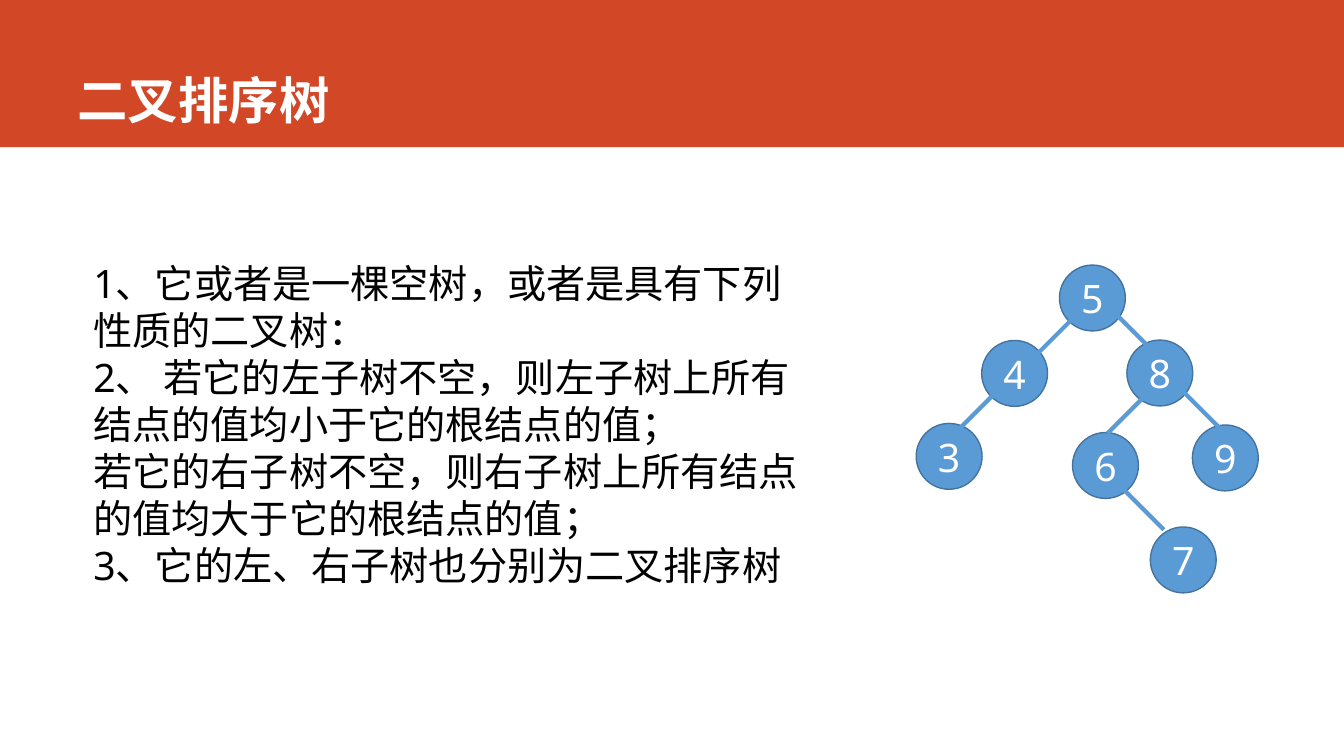
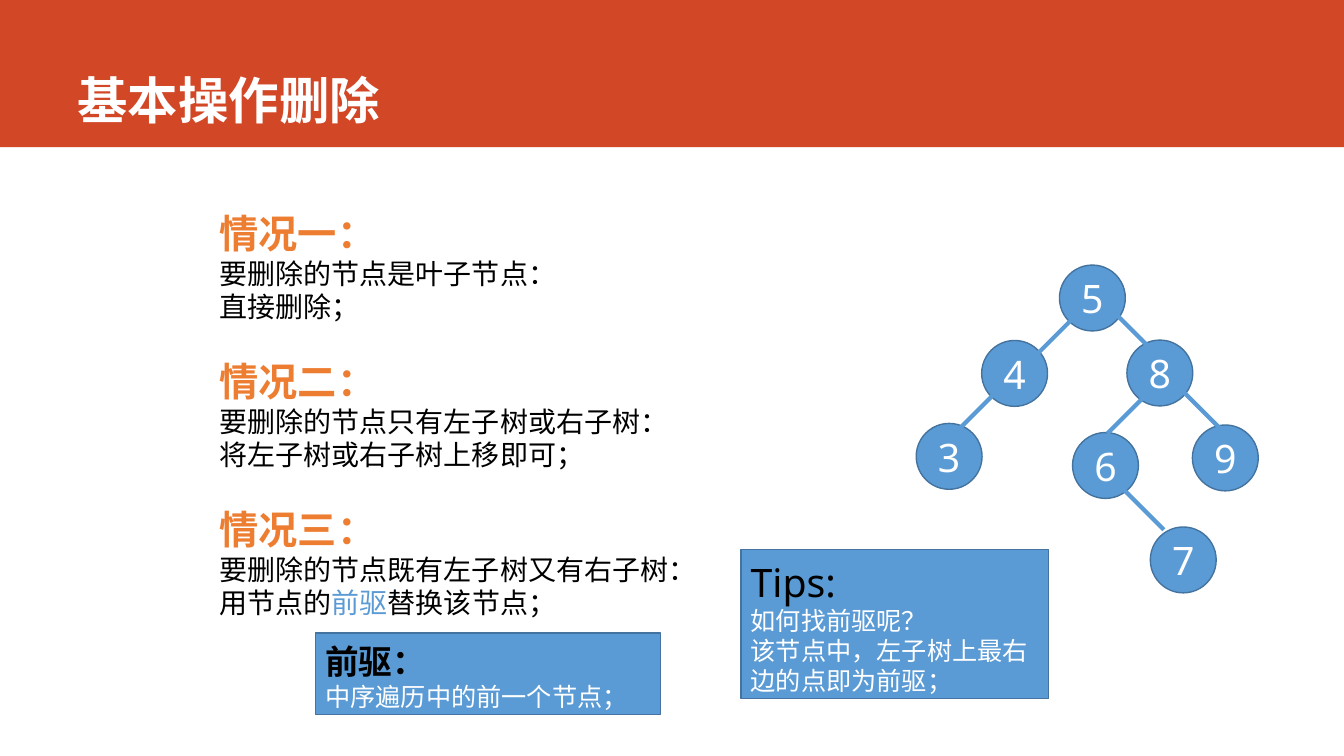
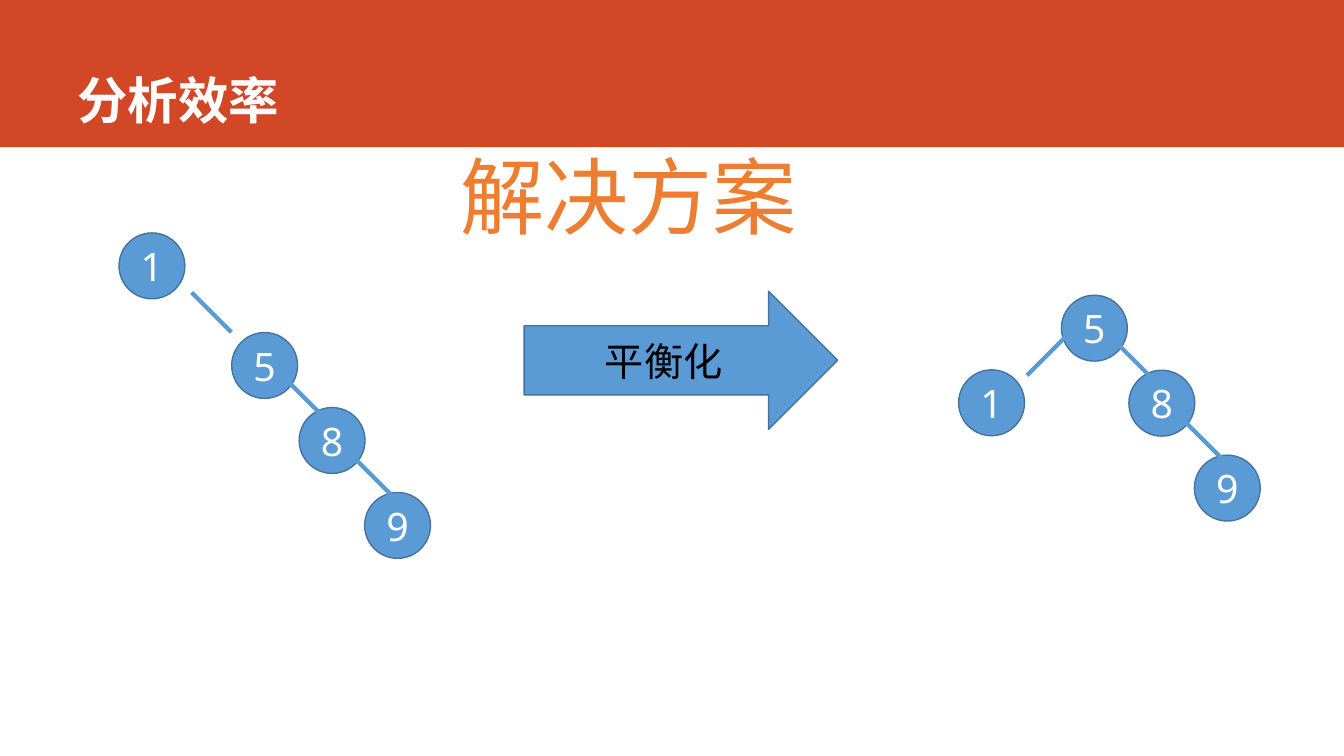
from dataclasses import dataclass

from lxml.etree import SubElement
from pptx import Presentation
from pptx.dml.color import RGBColor
from pptx.enum.shapes import MSO_CONNECTOR as Connector, MSO_SHAPE as Preset
from pptx.enum.text import MSO_ANCHOR as Anchor, MSO_AUTO_SIZE as AutoSize, PP_ALIGN as Align
from pptx.oxml.ns import qn
from pptx.util import Cm, Pt


@dataclass(frozen=True)
class Theme:
    """Colours, fonts and type sizes shared by every slide."""
    band: str = "D24726"
    white: str = "FFFFFF"
    black: str = "000000"
    blue: str = "5B9BD5"
    outline: str = "43739E"
    orange: str = "ED7D31"
    latin: str = "Noto Sans"
    cjk: str = "Noto Sans CJK SC"
    banner: int = 60
    title: int = 36
    large: int = 28
    term: int = 24
    body: int = 20
    note: int = 18
    leading: float = 1.2


THEME = Theme()

# Content. Boxes are left, top, width, height in centimetres.
SLIDE_SIZE = (33.87, 19.05)
BAND_BOX = (0, 0, 33.87, 3.71)
TITLE_BOX = (1.7, 0, 29.85, 3.4)

DEFINITION_TITLE = "二叉排序树"
DEFINITION_BOX = (2.1, 6.3, 18.42, 8.64)
DEFINITION = [
    "1、它或者是一棵空树，或者是具有下列性质的二叉树：",
    "2、 若它的左子树不空，则左子树上所有结点的值均小于它的根结点的值；",
    "若它的右子树不空，则右子树上所有结点的值均大于它的根结点的值；",
    "3、它的左、右子树也分别为二叉排序树",
]

DELETION_TITLE = "基本操作删除"
CASES_BOX = (5.28, 5.05, 14, 10.7)
CASES = [
    ("情况一：", ["要删除的节点是叶子节点：", "直接删除；"]),
    ("情况二：", ["要删除的节点只有左子树或右子树：", "将左子树或右子树上移即可；"]),
    ("情况三：", ["要删除的节点既有左子树又有右子树：",
              [("用节点的", THEME.black), ("前驱", THEME.blue), ("替换该节点；", THEME.black)]]),
]
CALLOUTS = [
    ((7.95, 15.95, 8.69, 2.06), "前驱：", THEME.term, True, ["中序遍历中的前一个节点；"]),
    ((18.67, 13.84, 7.75, 3.77), "Tips:", THEME.large, False,
     ["如何找前驱呢？", "该节点中，左子树上最右边的点即为前驱；"]),
]

EFFICIENCY_TITLE = "分析效率"
SOLUTION = "解决方案"
SOLUTION_BOX = (9.35, 3.3, 12.98, 2.82)
BALANCE = "平衡化"
BALANCE_BOX = (13.21, 7.34, 7.9, 3.48)

# Nodes: key -> offset from node 5. Edges: parent, child, start offset within parent.
NODE_SIZE = 1.66
EDGE_STEP = 1
RIGHT_NODES = {5: (0, 0), 8: (1.7, 1.89), 9: (3.35, 4.03)}
RIGHT_EDGES = [(5, 8, 1.47, 1.28), (8, 9, 1.45, 1.33)]
SEARCH_TREE = (
    (26.7, 6.68),
    RIGHT_NODES | {4: (-1.96, 1.9), 6: (0.33, 4.22), 7: (2.29, 6.6), 3: (-3.61, 3.99)},
    RIGHT_EDGES + [(5, 4, 0.36, 1.32), (4, 3, 0.36, 1.3),
                   (8, 6, 0.51, 1.35), (6, 7, 1.3, 1.45)],
)
SKEWED_TREE = ((5.84, 8.38), RIGHT_NODES | {1: (-2.84, -2.51)},
               RIGHT_EDGES + [(1, 5, 1.83, 1.5)])
BALANCED_TREE = ((26.75, 7.44), RIGHT_NODES | {1: (-2.59, 1.88)},
                 RIGHT_EDGES + [(5, 1, 0.13, 1.02)])


def lengths(box):
    """Turn centimetre numbers into slide lengths."""
    return [Cm(value) for value in box]


def write(frame, text, *, size, color=THEME.black, bold=False, font=THEME.latin,
          align=Align.LEFT, before=0, leading=True):
    """Add one paragraph; text is a string or a list of (piece, colour)."""
    paragraph = frame.add_paragraph() if frame.text else frame.paragraphs[0]
    paragraph.alignment = align
    paragraph.space_before, paragraph.space_after = Pt(before), Pt(0)
    paragraph.line_spacing = Pt(size * THEME.leading) if leading else 1.0
    properties = paragraph._p.get_or_add_pPr()
    properties.set("marL", "0")
    properties.set("indent", "0")
    SubElement(properties, qn("a:buNone"))
    for piece, piece_color in [(text, color)] if isinstance(text, str) else text:
        run = paragraph.add_run()
        run.text = piece
        run.font.size, run.font.bold, run.font.name = Pt(size), bold, font
        run.font.color.rgb = RGBColor.from_string(piece_color)
        SubElement(run._r.get_or_add_rPr(), qn("a:ea"), typeface=THEME.cjk)


def prepare(frame, anchor=Anchor.TOP, first_size=0):
    """Set wrapping and anchor, and lower the first line to suit its size."""
    frame.word_wrap, frame.auto_size = True, AutoSize.NONE
    frame.vertical_anchor = anchor
    frame.margin_top = Cm(0.13 + first_size / 300)
    return frame


def place(shape, box):
    """Move and size a placeholder."""
    shape.left, shape.top, shape.width, shape.height = lengths(box)
    return shape


def add_preset(slide, preset, box, fill=THEME.blue, line=THEME.outline):
    """Draw a flat preset shape."""
    shape = slide.shapes.add_shape(preset, *lengths(box))
    shape.shadow.inherit = False
    shape.fill.solid()
    shape.fill.fore_color.rgb = RGBColor.from_string(fill)
    if line:
        shape.line.color.rgb = RGBColor.from_string(line)
        shape.line.width = Pt(1)
    else:
        shape.line.fill.background()
    return shape


def add_edge(slide, start, end):
    """Draw one line of a tree."""
    edge = slide.shapes.add_connector(Connector.STRAIGHT, *lengths(start + end))
    edge.line.color.rgb = RGBColor.from_string(THEME.blue)
    edge.line.width = Pt(3)
    SubElement(edge._element.spPr, qn("a:effectLst"))


def add_tree(slide, tree):
    """Draw the nodes of a tree and the edges between them."""
    (root_x, root_y), offsets, edges = tree
    nodes = {key: (root_x + dx, root_y + dy) for key, (dx, dy) in offsets.items()}
    for key, (x, y) in nodes.items():
        node = add_preset(slide, Preset.OVAL, (x, y, NODE_SIZE, NODE_SIZE))
        write(prepare(node.text_frame, Anchor.MIDDLE), str(key), size=THEME.large,
              color=THEME.white, align=Align.CENTER, leading=False)
    for parent, child, dx, dy in edges:
        x, y = nodes[parent][0] + dx, nodes[parent][1] + dy
        step = EDGE_STEP if nodes[child][0] > nodes[parent][0] else -EDGE_STEP
        add_edge(slide, (x, y), (x + step, y + EDGE_STEP))


def add_slide(deck, title, layout):
    """Add a slide with its formatted title."""
    slide = deck.slides.add_slide(deck.slide_layouts.get_by_name(layout))
    frame = prepare(place(slide.shapes.title, TITLE_BOX).text_frame, Anchor.BOTTOM)
    write(frame, title, size=THEME.title, color=THEME.white, bold=True,
          font=THEME.cjk, leading=False)
    return slide


def add_master_band(deck, slide):
    """Put the title band behind everything on the slide master."""
    band = add_preset(slide, Preset.RECTANGLE, BAND_BOX, THEME.band, None)
    band.element.nvSpPr.cNvPr.set("id", "50")
    deck.slide_master.shapes.element.insert(2, band.element)


def definition_slide(deck):
    """Define the binary search tree beside an example."""
    slide = add_slide(deck, DEFINITION_TITLE, "Title and Content")
    add_master_band(deck, slide)
    frame = prepare(place(slide.placeholders[1], DEFINITION_BOX).text_frame,
                    first_size=THEME.large)
    for statement in DEFINITION:
        write(frame, statement, size=THEME.large)
    add_tree(slide, SEARCH_TREE)


def deletion_slide(deck):
    """List the three cases of deletion with two callouts."""
    slide = add_slide(deck, DELETION_TITLE, "Title and Content")
    add_tree(slide, SEARCH_TREE)
    frame = prepare(place(slide.placeholders[1], CASES_BOX).text_frame,
                    first_size=THEME.large)
    for index, (heading, steps) in enumerate(CASES):
        write(frame, heading, size=THEME.large, color=THEME.orange, bold=True,
              font=THEME.cjk, before=THEME.body * THEME.leading if index else 0)
        for step in steps:
            write(frame, step, size=THEME.body)
    for box, heading, size, bold, notes in CALLOUTS:
        callout = prepare(add_preset(slide, Preset.RECTANGLE, box).text_frame,
                          first_size=size)
        write(callout, heading, size=size, bold=bold)
        for note in notes:
            write(callout, note, size=THEME.note, color=THEME.white)


def efficiency_slide(deck):
    """Show a skewed tree turning into a balanced one."""
    slide = add_slide(deck, EFFICIENCY_TITLE, "Title Only")
    solution = slide.shapes.add_textbox(*lengths(SOLUTION_BOX))
    write(prepare(solution.text_frame, first_size=THEME.banner), SOLUTION,
          size=THEME.banner, color=THEME.orange, align=Align.CENTER)
    add_tree(slide, SKEWED_TREE)
    balance = add_preset(slide, Preset.RIGHT_ARROW, BALANCE_BOX)
    write(prepare(balance.text_frame, Anchor.MIDDLE), BALANCE, size=THEME.large,
          align=Align.CENTER, leading=False)
    add_tree(slide, BALANCED_TREE)


deck = Presentation()
deck.slide_width, deck.slide_height = lengths(SLIDE_SIZE)
for build in (definition_slide, deletion_slide, efficiency_slide):
    build(deck)
deck.save("out.pptx")
